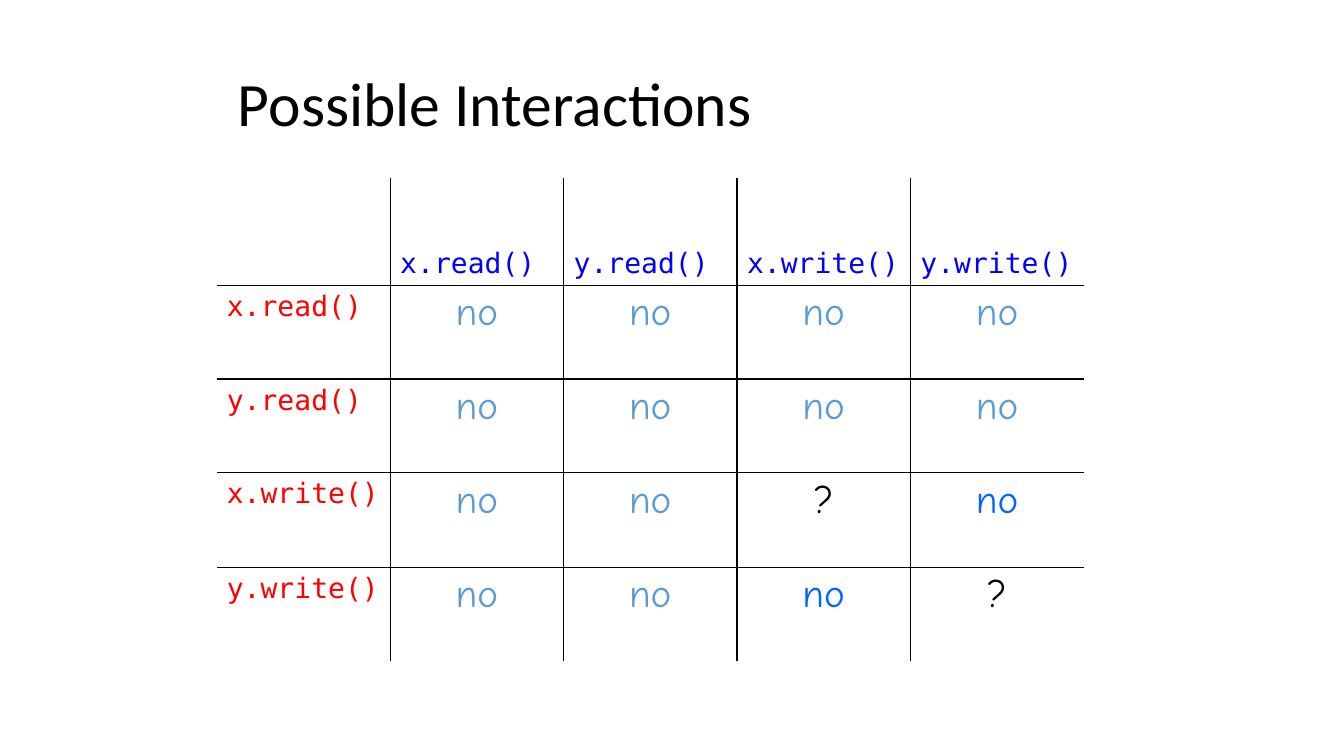
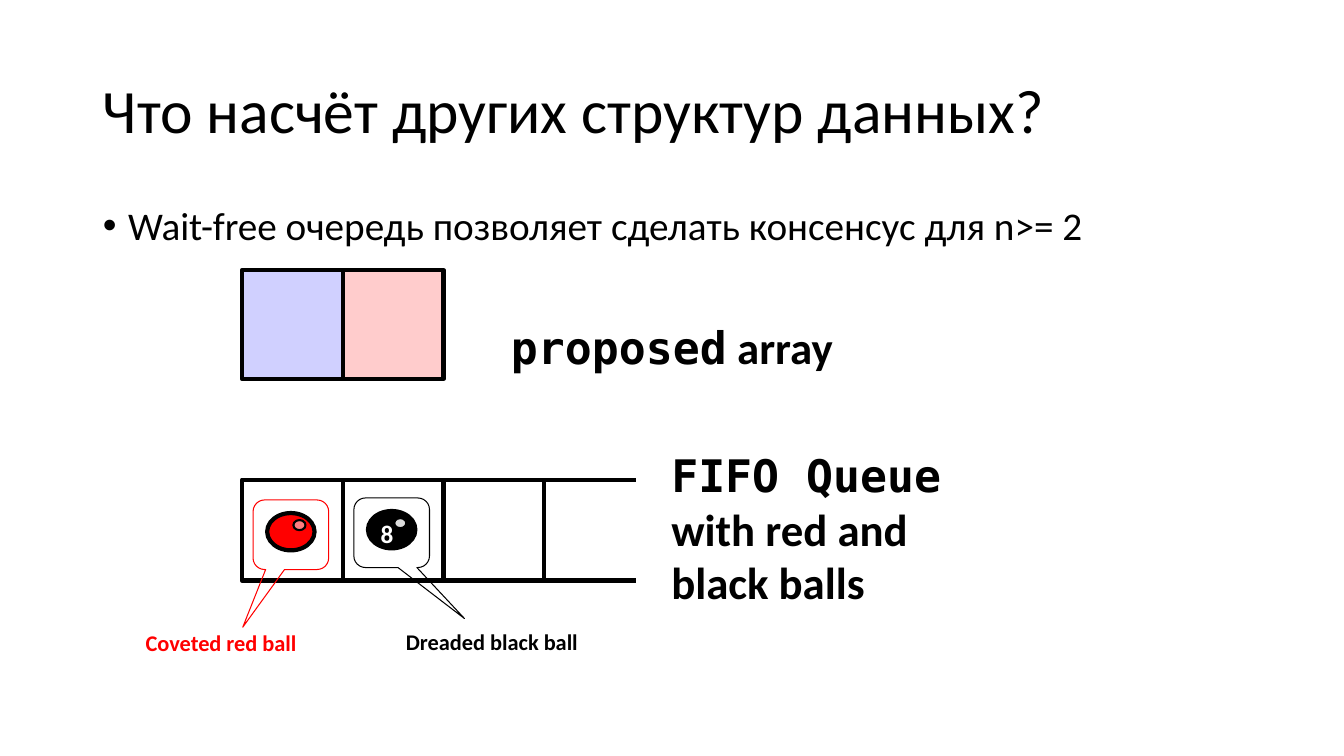
"""Build two slides on register interactions and queue-based consensus."""
from lxml import etree
from pptx import Presentation
from pptx.dml.color import RGBColor
from pptx.enum.shapes import MSO_CONNECTOR, MSO_SHAPE
from pptx.enum.text import MSO_ANCHOR, MSO_AUTO_SIZE, PP_ALIGN
from pptx.oxml.ns import qn
from pptx.util import Emu, Pt

LEFT, CENTER, RIGHT = PP_ALIGN.LEFT, PP_ALIGN.CENTER, PP_ALIGN.RIGHT
TOP, MIDDLE, BOTTOM = MSO_ANCHOR.TOP, MSO_ANCHOR.MIDDLE, MSO_ANCHOR.BOTTOM
FIXED = MSO_AUTO_SIZE.NONE
RECT, OVAL = MSO_SHAPE.RECTANGLE, MSO_SHAPE.OVAL
CALLOUT = MSO_SHAPE.ROUNDED_RECTANGULAR_CALLOUT
STRAIGHT = MSO_CONNECTOR.STRAIGHT

PX = 9144
SANS, MONO, COMIC = "Calibri", "DejaVu Sans Mono", "Comic Neue"
BLACK = RGBColor(0x00, 0x00, 0x00)
WHITE = RGBColor(0xFF, 0xFF, 0xFF)
RED = RGBColor(0xFF, 0x00, 0x00)
BLUE = RGBColor(0x00, 0x00, 0xFF)
SKY = RGBColor(0x5B, 0x9B, 0xD5)
AZURE = RGBColor(0x00, 0x66, 0xFF)
LILAC = RGBColor(0x66, 0x66, 0xFF)
PINK = RGBColor(0xFF, 0x7C, 0x80)
SILVER = RGBColor(0xDD, 0xDD, 0xDD)

INTERACTIONS_TITLE = "Possible Interactions"
CALLS = ["x.read()", "y.read()", "x.write()", "y.write()"]
ANSWERS = [
    [("no", SKY), ("no", SKY), ("no", SKY), ("no", SKY)],
    [("no", SKY), ("no", SKY), ("no", SKY), ("no", SKY)],
    [("no", SKY), ("no", SKY), ("?", BLACK), ("no", AZURE)],
    [("no", SKY), ("no", SKY), ("no", AZURE), ("?", BLACK)],
]
ROW_HEIGHTS = [106, 93, 93, 94, 93]
COLUMN_WIDTH = 172

QUEUE_TITLE = "Что насчёт других структур данных?"
QUEUE_POINT = "Wait-free очередь позволяет сделать консенсус для n>= 2"
PROPOSED = [(LILAC, 30), (RED, 20)]
ARRAY_LABEL = [("proposed", MONO), (" array", SANS)]
QUEUE_LABEL = [("FIFO Queue", MONO), (" with red and black balls", SANS)]
BALLS = [
    dict(at=(265, 509), color=RED, glint=PINK, tail=(-0.637, 1.33), digit="",
         label="Coveted red ball", label_at=(106, 619, 198, 37)),
    dict(at=(365, 507), color=BLACK, glint=SILVER, tail=(0.963, 1.234), digit="8",
         label="Dreaded black ball", label_at=(361, 618, 222, 37)),
]
SLOT, SLOT_LEFT, SLOT_COUNT = 100, 240, 3
ARRAY_TOP, ARRAY_HEIGHT, QUEUE_TOP = 268, 108, 476
RAIL_LEFT, RAIL_LENGTH = 531, 100


def emu(*lengths):
    return [Emu(length * PX) for length in lengths]


def style(font, size, name, color, bold=False):
    font.size, font.name, font.bold = Pt(size), name, bold
    font.color.rgb = color


def place(placeholder, box):
    placeholder.left, placeholder.top, placeholder.width, placeholder.height = emu(*box)
    placeholder.text_frame.auto_size = FIXED


def add_titled_slide(deck, layout, title, box):
    slide = deck.slides.add_slide(deck.slide_layouts[layout])
    heading = slide.shapes.title
    place(heading, box)
    heading.text_frame.vertical_anchor = MIDDLE
    heading.text_frame.text = title
    line = heading.text_frame.paragraphs[0]
    line.alignment, line.line_spacing = LEFT, 0.9
    style(line.runs[0].font, 44, SANS, BLACK)
    return slide


def add_label(shapes, box, parts, size, color=BLACK, align=LEFT):
    frame = shapes.add_textbox(*emu(*box)).text_frame
    frame.word_wrap = True
    line = frame.paragraphs[0]
    line.alignment = align
    for words, face in parts:
        run = line.add_run()
        run.text = words
        style(run.font, size, face, color, bold=True)


def add_outline(shapes, preset, box, weight, fill=None, line=BLACK, opacity=100):
    shape = shapes.add_shape(preset, *emu(*box))
    shape.shadow.inherit = False
    shape.line.color.rgb, shape.line.width = line, Pt(weight)
    if fill is None:
        shape.fill.background()
    else:
        shape.fill.solid()
        shape.fill.fore_color.rgb = fill
        if opacity < 100:
            color = shape.fill._xPr.find(".//" + qn("a:srgbClr"))
            etree.SubElement(color, qn("a:alpha"), val=str(opacity * 1000))
    return shape


def add_rail(shapes, top):
    rail = shapes.add_connector(
        STRAIGHT, *emu(RAIL_LEFT, top, RAIL_LEFT + RAIL_LENGTH, top))
    rail.line.color.rgb, rail.line.width = BLACK, Pt(3)
    etree.SubElement(rail._element.spPr, qn("a:effectLst"))


def add_ball(shapes, ball):
    left, top = ball["at"]
    group = shapes.add_group_shape().shapes
    add_outline(group, OVAL, (left, top, 47, 37), 3, ball["color"])
    add_outline(group, OVAL, (left + 26, top + 7, 12, 10), 1.5, ball["glint"])
    if ball["digit"]:
        add_label(group, (left, top + 2, 35, 40), [(ball["digit"], SANS)], 18, WHITE, RIGHT)
    add_label(shapes, ball["label_at"], [(ball["label"], SANS)], 16, ball["color"], RIGHT)
    bubble = add_outline(shapes, CALLOUT, (left - 14, top - 13, 75, 69), 0.75,
                         line=ball["color"])
    for index, value in enumerate((*ball["tail"], 0.167)):
        bubble.adjustments[index] = value


def set_borders(cell, inner_sides):
    properties = cell._tc.get_or_add_tcPr()
    for side in "LRTB":
        border = etree.SubElement(properties, qn("a:ln" + side), w=str(Pt(1)))
        if side in inner_sides:
            fill = etree.SubElement(border, qn("a:solidFill"))
            etree.SubElement(fill, qn("a:srgbClr"), val=str(BLACK))
        else:
            etree.SubElement(border, qn("a:noFill"))


def build_interactions(deck):
    slide = add_titled_slide(deck, 5, INTERACTIONS_TITLE, (226, 43, 850, 125))
    header = [("", BLACK)] + [(call, BLUE) for call in CALLS]
    rows = [header] + [[(call, RED)] + answers for call, answers in zip(CALLS, ANSWERS)]
    count = len(rows)
    grid = slide.shapes.add_table(
        count, count, *emu(215, 177, COLUMN_WIDTH * count, sum(ROW_HEIGHTS))).table
    grid.first_row = grid.horz_banding = False
    for column in grid.columns:
        column.width = Emu(COLUMN_WIDTH * PX)
    for r, row in enumerate(rows):
        grid.rows[r].height = Emu(ROW_HEIGHTS[r] * PX)
        for c, (words, color) in enumerate(row):
            cell = grid.cell(r, c)
            sides = {"L": c > 0, "R": c < count - 1, "T": r > 0, "B": r < count - 1}
            set_borders(cell, [side for side, inner in sides.items() if inner])
            cell.fill.background()
            cell.vertical_anchor = TOP if r else BOTTOM
            if words:
                is_answer = r > 0 and c > 0
                cell.text_frame.text = words
                line = cell.text_frame.paragraphs[0]
                line.alignment = CENTER if is_answer else LEFT
                size, face = (28, COMIC) if is_answer else (20, MONO)
                style(line.runs[0].font, size, face, color)


def build_queue(deck):
    slide = add_titled_slide(deck, 1, QUEUE_TITLE, (92, 40, 1150, 145))
    shapes = slide.shapes
    body = slide.placeholders[1]
    place(body, (92, 200, 1150, 476))
    body.text_frame.text = QUEUE_POINT
    point = body.text_frame.paragraphs[0]
    properties = point._p.get_or_add_pPr()
    properties.set("marL", str(25 * PX))
    properties.set("indent", str(-25 * PX))
    etree.SubElement(properties, qn("a:buFont"), typeface="Arial")
    etree.SubElement(properties, qn("a:buChar"), char="•")
    point.line_spacing, point.space_before = 0.9, Pt(0)
    style(point.runs[0].font, 28, SANS, BLACK)

    for index, (color, opacity) in enumerate(PROPOSED):
        add_outline(shapes, RECT, (SLOT_LEFT + index * SLOT, ARRAY_TOP, SLOT, ARRAY_HEIGHT),
                    3, color, opacity=opacity)
    add_label(shapes, (497, 312, 370, 63), ARRAY_LABEL, 32)

    for index in range(SLOT_COUNT):
        add_outline(shapes, RECT, (SLOT_LEFT + index * SLOT, QUEUE_TOP, SLOT, SLOT), 3)
    for top in (QUEUE_TOP, QUEUE_TOP + SLOT):
        add_rail(shapes, top)
    add_label(shapes, (656, 439, 353, 170), QUEUE_LABEL, 32)
    for ball in BALLS:
        add_ball(shapes, ball)


def main():
    deck = Presentation()
    deck.slide_width, deck.slide_height = emu(1333, 750)
    build_interactions(deck)
    build_queue(deck)
    deck.save("out.pptx")


if __name__ == "__main__":
    main()
